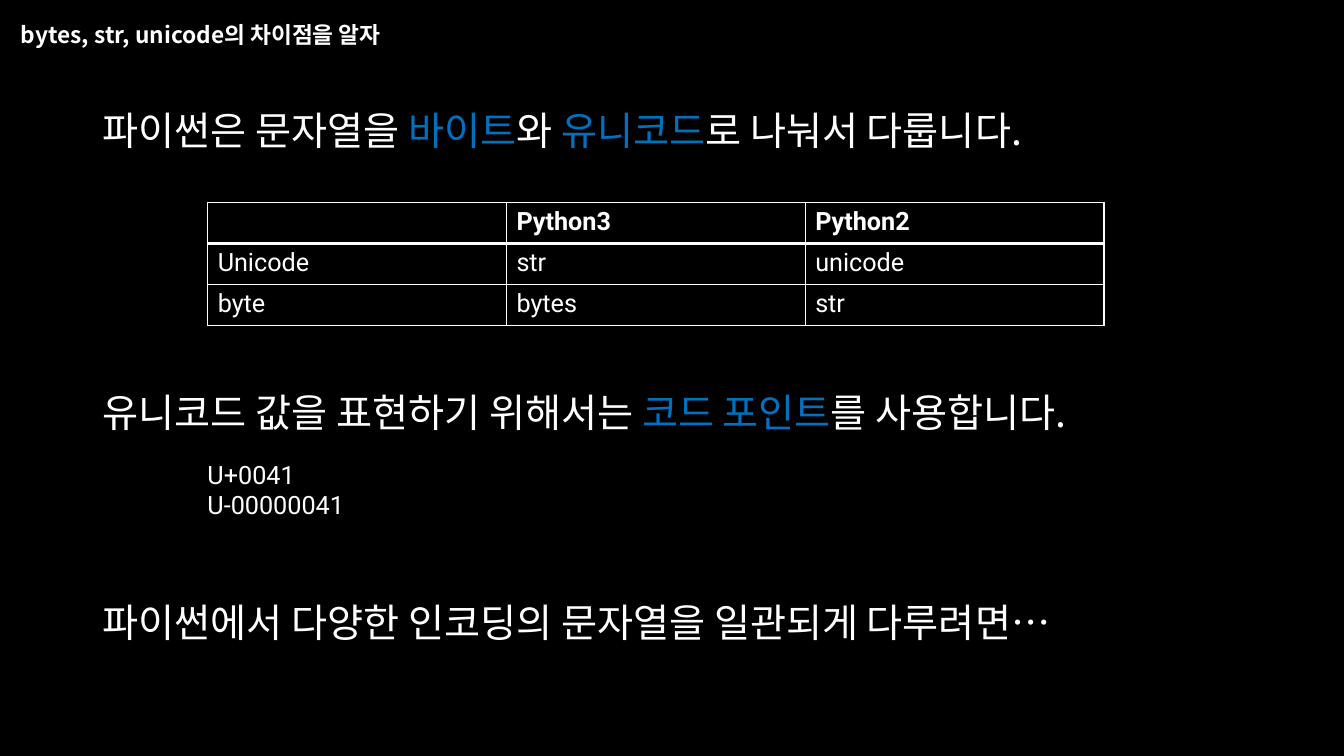
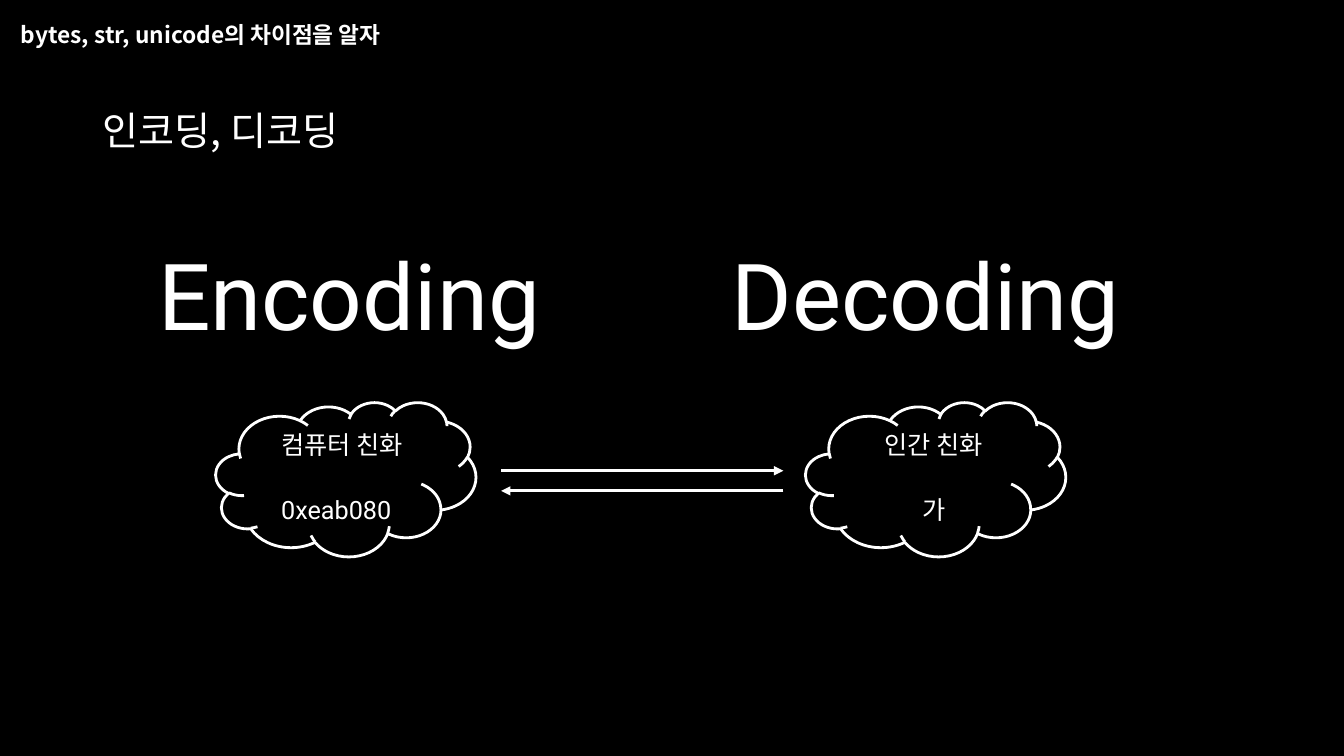
from dataclasses import dataclass
from lxml.etree import SubElement
from pptx import Presentation
from pptx.dml.color import RGBColor
from pptx.enum.shapes import MSO_CONNECTOR as Connector, MSO_SHAPE as Shape
from pptx.enum.text import MSO_ANCHOR as Anchor
from pptx.oxml import parse_xml
from pptx.oxml.ns import nsdecls, qn
from pptx.util import Inches, Pt


@dataclass(frozen=True)
class Theme:
    background: str = "000000"
    text: str = "FFFFFF"
    accent: str = "0070C0"
    korean: str = "Noto Sans CJK KR"
    latin: str = "Roboto"
    title: float = 16.2
    statement: float = 28
    label: float = 18
    display: float = 66
    outline: float = 2
    arrow: float = 2.25
    grid: float = 1
    header_rule: float = 3


THEME = Theme()
TITLE = "bytes, str, unicode의 차이점을 알자"

STATEMENTS = [
    (1.06, [("파이썬은 문자열을 ", False), ("바이트", True), ("와 ", False),
            ("유니코드", True), ("로 나눠서 다룹니다.", False)]),
    (3.86, [("유니코드 값을 표현하기 위해서는 ", False), ("코드 포인트", True),
            ("를 사용합니다.", False)]),
    (5.94, [("파이썬에서 다양한 인코딩의 문자열을 일관되게 다루려면…", False)]),
]
TYPE_ROWS = [
    ("", "Python3", "Python2"),
    ("Unicode", "str", "unicode"),
    ("byte", "bytes", "str"),
]
CODE_POINTS = ["U+0041", "U-00000041"]

CODING_STATEMENT = [("인코딩, 디코딩", False)]
SIDES = [
    dict(word="Encoding", word_left=1.47, cloud_left=2.14,
         audience="컴퓨터 친화", audience_left=2.69, sample="0xeab080", sample_left=2.69),
    dict(word="Decoding", word_left=7.16, cloud_left=7.99,
         audience="인간 친화", audience_left=8.67, sample="가", sample_left=9.05),
]
ARROWS = [(4.97, 7.77, 4.67), (7.77, 4.97, 4.87)]


def color(value):
    return RGBColor.from_string(value)


def style_run(span, size, font, bold=False, fill=THEME.text):
    span.font.size = Pt(size)
    span.font.name = font
    span.font.bold = bold
    span.font.color.rgb = color(fill)
    SubElement(span.font._element, qn("a:ea")).set("typeface", THEME.korean)


def add_text(page, left, top, width, height, lines, size, font, bold=False, spacing=1.0):
    box = page.shapes.add_textbox(Inches(left), Inches(top), Inches(width), Inches(height))
    frame = box.text_frame
    frame.word_wrap = True
    for index, line in enumerate(lines):
        para = frame.paragraphs[0] if index == 0 else frame.add_paragraph()
        para.line_spacing = spacing
        for words, accented in line:
            span = para.add_run()
            span.text = words
            style_run(span, size, font, bold, THEME.accent if accented else THEME.text)
    return box


def add_label(page, left, top, width, words, font):
    add_text(page, left, top, width, 0.4, [[(words, False)]], THEME.label, font)


def add_statement(page, top, spans):
    add_text(page, 0.92, top, 11.5, 0.6, [spans], THEME.statement, THEME.korean, spacing=0.9)


def add_page(deck):
    page = deck.slides.add_slide(deck.slide_layouts[6])
    title = add_text(page, 0.11, 0.18, 11.5, 0.36, [[(TITLE, False)]],
                     THEME.title, THEME.korean, bold=True, spacing=0.9)
    title.text_frame.vertical_anchor = Anchor.MIDDLE
    return page


def set_borders(cell, widths):
    properties = cell._tc.get_or_add_tcPr()
    for position, (side, width) in enumerate(widths.items()):
        properties.insert(position, parse_xml(
            f'<a:ln{side} {nsdecls("a")} w="{Pt(width)}"><a:solidFill>'
            f'<a:srgbClr val="{THEME.text}"/></a:solidFill></a:ln{side}>'))


def add_type_table(page):
    rows, columns = len(TYPE_ROWS), len(TYPE_ROWS[0])
    table = page.shapes.add_table(rows, columns, Inches(2.06), Inches(2.01),
                                  Inches(8.89), Inches(1.22)).table
    table.horz_banding = False
    for row, values in enumerate(TYPE_ROWS):
        for column, value in enumerate(values):
            cell = table.cell(row, column)
            cell.fill.solid()
            cell.fill.fore_color.rgb = color(THEME.background)
            cell.text_frame.text = value
            for span in cell.text_frame.paragraphs[0].runs:
                style_run(span, THEME.label, THEME.latin, bold=row == 0)
            set_borders(cell, {
                "L": THEME.grid,
                "R": THEME.grid,
                "T": THEME.header_rule if row == 1 else THEME.grid,
                "B": THEME.header_rule if row == 0 else THEME.grid,
            })


def add_cloud(page, left):
    cloud = page.shapes.add_shape(Shape.CLOUD, Inches(left), Inches(3.99),
                                  Inches(2.58), Inches(1.53))
    cloud.shadow.inherit = False
    cloud.fill.background()
    cloud.line.color.rgb = color(THEME.text)
    cloud.line.width = Pt(THEME.outline)


def add_arrow(page, start, end, height):
    arrow = page.shapes.add_connector(Connector.STRAIGHT, Inches(start), Inches(height),
                                      Inches(end), Inches(height))
    arrow.line.color.rgb = color(THEME.text)
    arrow.line.width = Pt(THEME.arrow)
    SubElement(arrow.line._get_or_add_ln(), qn("a:tailEnd")).set("type", "triangle")
    SubElement(arrow._element.spPr, qn("a:effectLst"))


def build_types_page(deck):
    page = add_page(deck)
    for top, spans in STATEMENTS:
        add_statement(page, top, spans)
    add_type_table(page)
    add_text(page, 1.96, 4.51, 1.73, 0.71, [[(code, False)] for code in CODE_POINTS],
             THEME.label, THEME.latin)


def build_coding_page(deck):
    page = add_page(deck)
    add_statement(page, 1.06, CODING_STATEMENT)
    for side in SIDES:
        add_cloud(page, side["cloud_left"])
        add_text(page, side["word_left"], 2.31, 4.25, 1.21, [[(side["word"], False)]],
                 THEME.display, THEME.latin)
        add_label(page, side["audience_left"], 4.21, 2.28, side["audience"], THEME.korean)
        add_label(page, side["sample_left"], 4.85, 1.41, side["sample"], THEME.latin)
    for start, end, height in ARROWS:
        add_arrow(page, start, end, height)


def main():
    deck = Presentation()
    deck.slide_width, deck.slide_height = Inches(13.33), Inches(7.5)
    backdrop = deck.slide_master.background.fill
    backdrop.solid()
    backdrop.fore_color.rgb = color(THEME.background)
    build_types_page(deck)
    build_coding_page(deck)
    deck.save("out.pptx")


if __name__ == "__main__":
    main()
